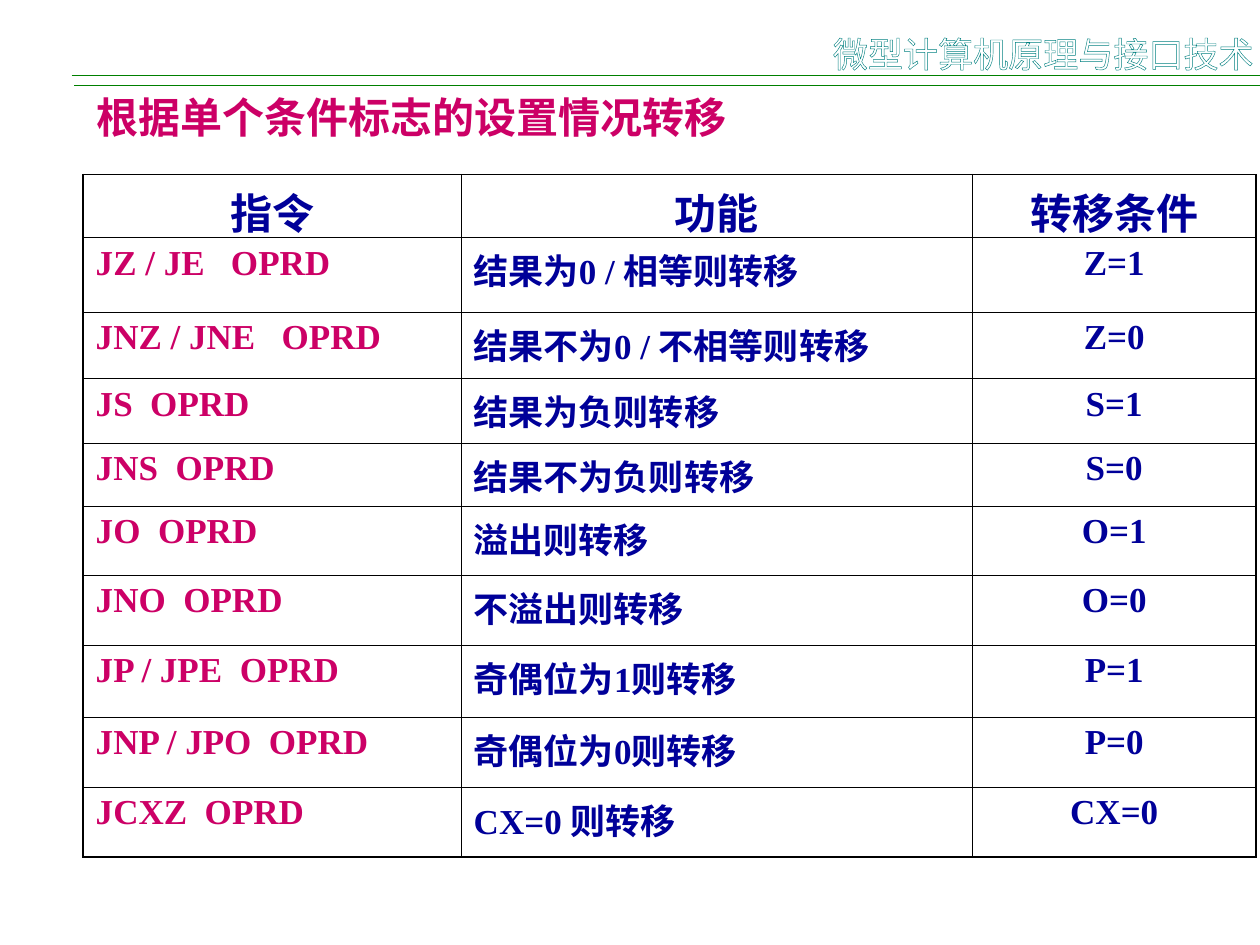
import pptx
import pptx.dml.color
import pptx.enum.shapes
import pptx.enum.text
import pptx.oxml
import pptx.oxml.ns
import pptx.util
from lxml import etree

Pt = pptx.util.Pt
ALIGN = pptx.enum.text.PP_ALIGN
LATIN_FONT, CHINESE_FONT = "Times New Roman", "Noto Sans CJK SC"
NAVY, CRIMSON, TEAL, GREEN = "000099", "CC0066", "008080", "008000"
WHITE, BLACK = "FFFFFF", "000000"

COLUMN_WIDTHS = [216, 292, 162.4]
ROW_HEIGHTS = [36, 42.5, 38, 37, 36, 39.5, 40, 41, 40, 40]
HEADINGS = ["指令", "功能", "转移条件"]
INSTRUCTIONS = [
    ["JZ / JE   OPRD", "结果为0 / 相等则转移", "Z=1"],
    ["JNZ / JNE   OPRD", "结果不为0 / 不相等则转移", "Z=0"],
    ["JS  OPRD", "结果为负则转移", "S=1"],
    ["JNS  OPRD", "结果不为负则转移", "S=0"],
    ["JO  OPRD", "溢出则转移", "O=1"],
    ["JNO  OPRD", "不溢出则转移", "O=0"],
    ["JP / JPE  OPRD", "奇偶位为1则转移", "P=1"],
    ["JNP / JPO  OPRD", "奇偶位为0则转移", "P=0"],
    ["JCXZ  OPRD", "CX=0 则转移", "CX=0"],
]


def color(value):
    return pptx.dml.color.RGBColor.from_string(value)


def line_element(tag, value, width):
    """Return a solid line element for a cell border or a text outline."""
    namespace = pptx.oxml.ns.nsdecls("a")
    return pptx.oxml.parse_xml(
        f'<a:{tag} {namespace} w="{int(Pt(width))}"><a:solidFill>'
        f'<a:srgbClr val="{value}"/></a:solidFill></a:{tag}>')


def write(frame, text, size=20, fill=NAVY, font=LATIN_FONT, bold=True,
          align=ALIGN.LEFT, outline=None):
    frame.text = text
    paragraph = frame.paragraphs[0]
    paragraph.alignment = align
    paragraph.line_spacing = 1.0
    paragraph.space_before = Pt(0)
    run = paragraph.runs[0]
    run.font.size, run.font.bold, run.font.name = Pt(size), bold, font
    run.font.color.rgb = color(fill)
    properties = run.font._element
    if outline:
        properties.insert(0, line_element("ln", outline, 0.75))
    east_asian = etree.Element(pptx.oxml.ns.qn("a:ea"), typeface=CHINESE_FONT)
    properties.find(pptx.oxml.ns.qn("a:latin")).addnext(east_asian)


def add_header(slide, left, top, width, height):
    # Double rule running to the right edge
    right = left + width
    for start, y in ((left + 1.5, top + 6), (left, top)):
        rule = slide.shapes.add_connector(
            pptx.enum.shapes.MSO_CONNECTOR.STRAIGHT,
            Pt(start), Pt(y), Pt(right), Pt(y))
        rule.line.color.rgb = color(GREEN)
        rule.line.width = Pt(0.75)
        etree.SubElement(rule._element.spPr, pptx.oxml.ns.qn("a:effectLst"))

    # Outlined course name above the rules, on one line
    course = slide.shapes.add_textbox(
        Pt(right - 244), Pt(top - 28), Pt(244), Pt(height))
    frame = course.text_frame
    frame.word_wrap = False
    frame.margin_left = frame.margin_right = Pt(0)
    write(frame, "微型计算机原理与接口技术", fill=WHITE,
          font=CHINESE_FONT, bold=False, outline=TEAL)


def add_title(slide, left, top, width, height):
    title = slide.shapes.title
    title.left, title.top = Pt(left), Pt(top)
    title.width, title.height = Pt(width), Pt(height)
    frame = title.text_frame
    frame.word_wrap = False
    frame.auto_size = pptx.enum.text.MSO_AUTO_SIZE.NONE
    frame.vertical_anchor = pptx.enum.text.MSO_ANCHOR.TOP
    write(frame, "根据单个条件标志的设置情况转移", size=24, fill=CRIMSON)


def set_borders(cell, outer_sides):
    properties = cell._tc.get_or_add_tcPr()
    for index, tag in enumerate(("lnL", "lnR", "lnT", "lnB")):
        width = 1.08 if tag in outer_sides else 0.45
        properties.insert(index, line_element(tag, BLACK, width))


def add_instruction_table(slide, left, top, width, height):
    rows = [HEADINGS] + INSTRUCTIONS
    last_row, last_column = len(rows) - 1, len(HEADINGS) - 1
    table = slide.shapes.add_table(
        len(rows), len(HEADINGS), Pt(left), Pt(top), Pt(width), Pt(height)).table
    table.first_row = table.horz_banding = False
    for column, column_width in zip(table.columns, COLUMN_WIDTHS):
        column.width = Pt(column_width)
    for row, row_height in zip(table.rows, ROW_HEIGHTS):
        row.height = Pt(row_height)

    for r, texts in enumerate(rows):
        for c, text in enumerate(texts):
            cell = table.cell(r, c)
            cell.fill.background()
            heading = r == 0
            write(cell.text_frame, text, size=24 if heading else 20,
                  fill=CRIMSON if c == 0 and not heading else NAVY,
                  align=ALIGN.CENTER if heading or c == last_column else ALIGN.LEFT)
            edges = {"lnL": c == 0, "lnR": c == last_column,
                     "lnT": r == 0, "lnB": r == last_row}
            set_borders(cell, [tag for tag, outer in edges.items() if outer])


def main():
    presentation = pptx.Presentation()
    presentation.slide_width, presentation.slide_height = Pt(720), Pt(540)
    slide = presentation.slides.add_slide(presentation.slide_layouts[5])
    add_header(slide, 41, 43, 679, 20)
    add_title(slide, 48, 48.5, 390, 36)
    add_instruction_table(slide, 47.5, 99.8, sum(COLUMN_WIDTHS), sum(ROW_HEIGHTS))
    presentation.save("out.pptx")


if __name__ == "__main__":
    main()
